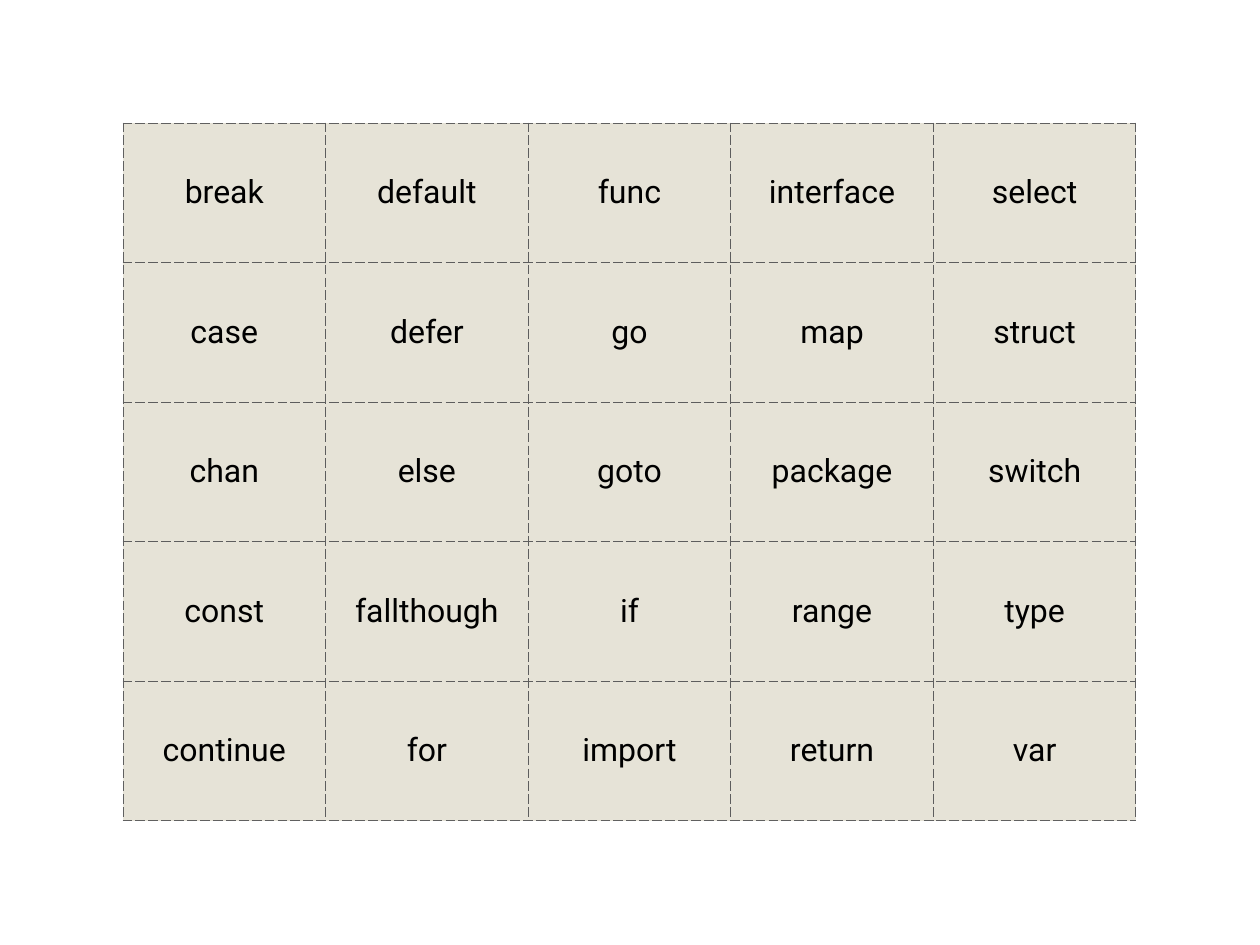
from lxml import etree
from pptx import Presentation
from pptx import util as u
from pptx.dml.color import RGBColor
from pptx.enum import text
from pptx.oxml.ns import qn

PX = u.Inches(1) // 90  # 90 px to the inch

COLORS = {"cell": "E6E3D7", "text": "000000", "inner": "5D5D5D", "outer": "606060"}

KEYWORDS = [
    ["break", "default", "func", "interface", "select"],
    ["case", "defer", "go", "map", "struct"],
    ["chan", "else", "goto", "package", "switch"],
    ["const", "fallthough", "if", "range", "type"],
    ["continue", "for", "import", "return", "var"],
]


def px(n):
    return u.Emu(n * PX)


def write(tf, words, font="Roboto", size=26, color="text", align=text.PP_ALIGN.CENTER):
    p = tf.paragraphs[0]
    p.alignment = align
    r = p.add_run()
    r.text = words
    r.font.name = font
    r.font.size = u.Pt(size)
    r.font.color.rgb = RGBColor.from_string(COLORS[color])


def add_border(cell, side, color, width=1, dash="lgDash"):
    ln = etree.SubElement(cell._tc.get_or_add_tcPr(), qn(f"a:ln{side}"), w=str(u.Pt(width)))
    fill = etree.SubElement(ln, qn("a:solidFill"))
    etree.SubElement(fill, qn("a:srgbClr"), val=COLORS[color])
    etree.SubElement(ln, qn("a:prstDash"), val=dash)


def format_cell(cell, outer_sides, margin=5):
    # Borders come before the fill in the cell properties
    for side in "LRTB":
        add_border(cell, side, "outer" if side in outer_sides else "inner")
    cell.fill.solid()
    cell.fill.fore_color.rgb = RGBColor.from_string(COLORS["cell"])
    cell.vertical_anchor = text.MSO_ANCHOR.MIDDLE
    cell.margin_left = cell.margin_right = px(margin)
    cell.margin_top = cell.margin_bottom = px(margin)


def add_grid(s, rows, x, y, w, h):
    n_rows, n_cols = len(rows), len(rows[0])
    table = s.shapes.add_table(n_rows, n_cols, px(x), px(y), px(w), px(h)).table
    table.first_row = table.horz_banding = False
    for i, row in enumerate(rows):
        for j, word in enumerate(row):
            edges = {"L": j == 0, "R": j == n_cols - 1, "T": i == 0, "B": i == n_rows - 1}
            cell = table.cell(i, j)
            format_cell(cell, [side for side, on_edge in edges.items() if on_edge])
            write(cell.text_frame, word)


def main():
    prs = Presentation()
    prs.slide_width, prs.slide_height = px(1280), px(960)
    s = prs.slides.add_slide(prs.slide_layouts[6])

    # Keyword table
    add_grid(s, KEYWORDS, 125, 125, 1029, 709)

    prs.save("out.pptx")


if __name__ == "__main__":
    main()
